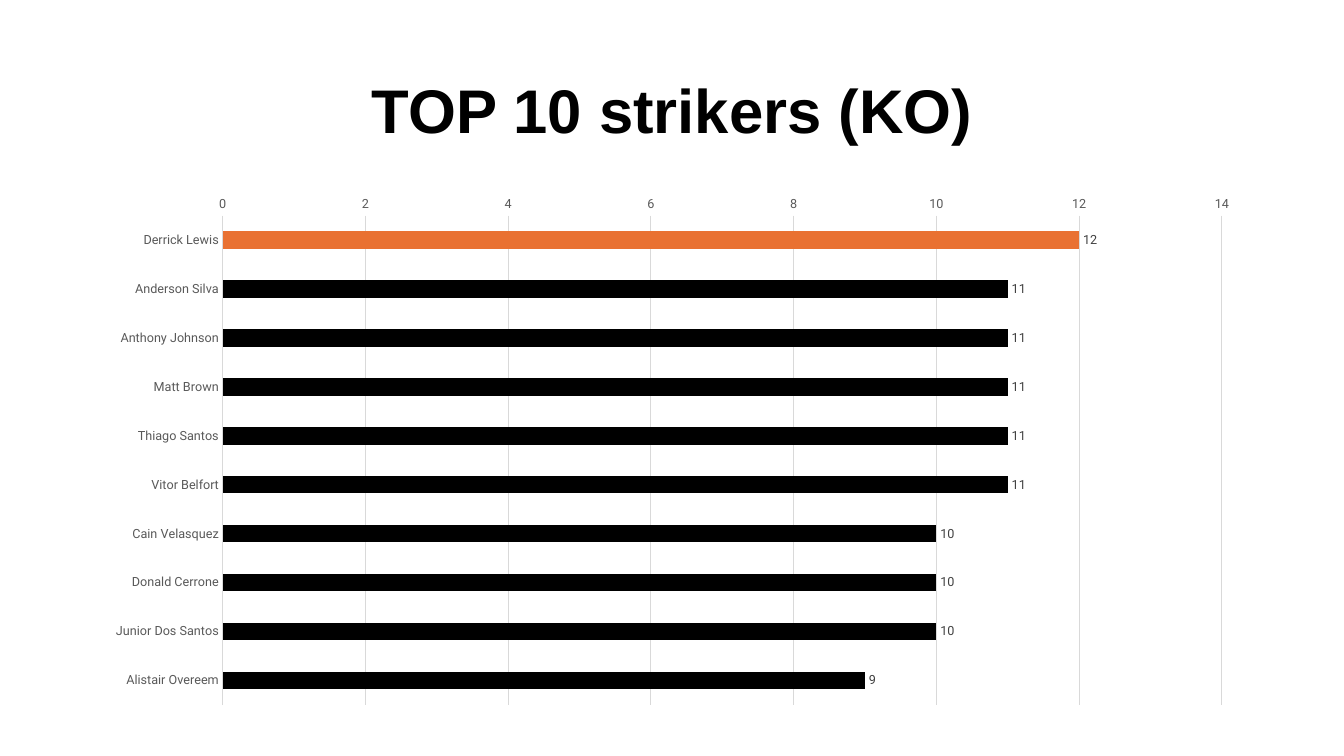
from pptx import Presentation
from pptx.chart.data import CategoryChartData
from pptx.dml.color import RGBColor
from pptx.enum.chart import XL_CHART_TYPE as ChartType, XL_LABEL_POSITION as LabelPos
from pptx.enum.chart import XL_TICK_MARK as TickMark
from pptx.enum.text import MSO_ANCHOR as Anchor, PP_ALIGN as Align
from pptx.util import Inches, Pt


def color(hex_code):
    return RGBColor.from_string(hex_code)


def add_text(slide, text, left, top, width, height, size, font, hex_code, bold=False):
    frame = slide.shapes.add_textbox(
        Inches(left), Inches(top), Inches(width), Inches(height)).text_frame
    frame.word_wrap = True
    frame.vertical_anchor = Anchor.MIDDLE
    paragraph = frame.paragraphs[0]
    paragraph.alignment = Align.CENTER
    paragraph.line_spacing = 0.9
    run = paragraph.add_run()
    run.text = text
    run.font.size, run.font.name, run.font.bold = Pt(size), font, bold
    run.font.color.rgb = color(hex_code)


prs = Presentation()
prs.slide_width, prs.slide_height = Inches(13.33), Inches(7.5)
slide = prs.slides.add_slide(prs.slide_layouts[6])

# Title
add_text(slide, "TOP 10 strikers (KO)", 0.92, 0.4, 11.5, 1.45,
         size=44, font="Arial", hex_code="000000", bold=True)

# Knockouts per fighter
knockouts = {
    "Derrick Lewis": 12,
    "Anderson Silva": 11,
    "Anthony Johnson": 11,
    "Matt Brown": 11,
    "Thiago Santos": 11,
    "Vitor Belfort": 11,
    "Cain Velasquez": 10,
    "Donald Cerrone": 10,
    "Junior Dos Santos": 10,
    "Alistair Overeem": 9,
}
ranking = CategoryChartData()
ranking.categories = list(knockouts)
ranking.add_series("Series 1", list(knockouts.values()))
chart = slide.shapes.add_chart(
    ChartType.BAR_CLUSTERED, Inches(0.92), Inches(1.85), Inches(11.5), Inches(5.25),
    ranking).chart
chart.has_title = False
chart.has_legend = False
chart.font.size, chart.font.name = Pt(10), "Roboto"
chart.font.color.rgb = color("000000")

# Bars, with the leader highlighted
plot = chart.plots[0]
plot.gap_width = 182
plot.vary_by_categories = False
bars = plot.series[0]
bars.invert_if_negative = False
leader = bars.points[0]
for part, hex_code in ((bars, "000000"), (leader, "E97132")):
    part.format.fill.solid()
    part.format.fill.fore_color.rgb = color(hex_code)

# Value labels
labels = bars.data_labels
labels.show_value = True
labels.position = LabelPos.OUTSIDE_END

# Axes
fighters, scale = chart.category_axis, chart.value_axis
fighters.reverse_order = True
scale.minimum_scale, scale.maximum_scale, scale.major_unit = 0, 14, 2
scale.has_major_gridlines = True
scale.format.line.fill.background()
for axis in (fighters, scale):
    axis.major_tick_mark = axis.minor_tick_mark = TickMark.NONE
for line in (fighters.format.line, scale.major_gridlines.format.line):
    line.color.rgb = color("D9D9D9")
    line.width = Pt(0.75)
for font, hex_code in ((labels.font, "404040"),
                       (fighters.tick_labels.font, "595959"),
                       (scale.tick_labels.font, "595959")):
    font.size, font.name = Pt(9), "Roboto"
    font.color.rgb = color(hex_code)

prs.save("out.pptx")
